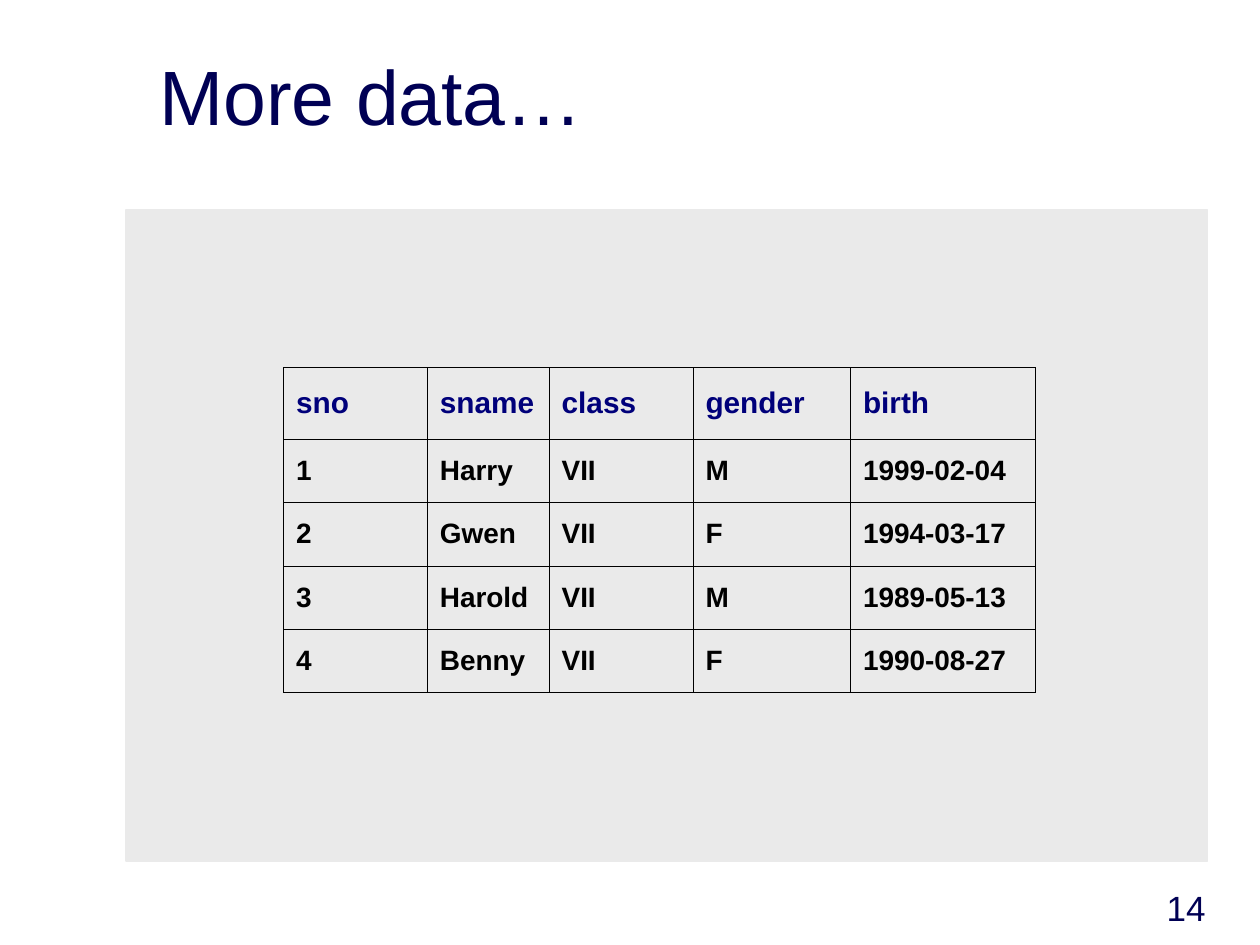
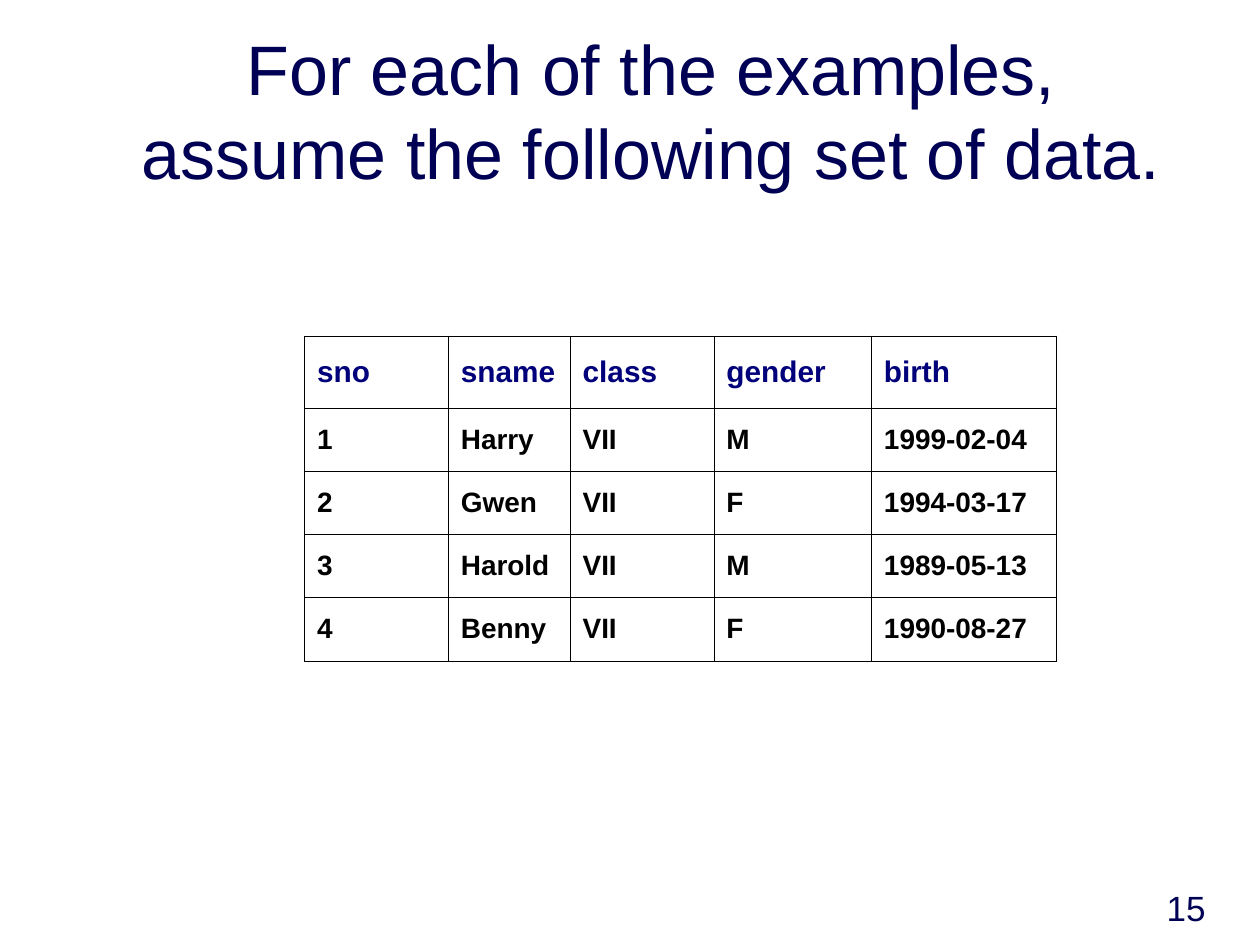
"""Build two slides that show the same student table."""
from lxml import etree
from pptx import Presentation
from pptx.dml.color import RGBColor
from pptx.enum.shapes import MSO_SHAPE
from pptx.enum.text import MSO_ANCHOR, PP_ALIGN
from pptx.oxml.ns import qn
from pptx.util import Inches, Pt

RECT = MSO_SHAPE.RECTANGLE
LOW, MID = MSO_ANCHOR.BOTTOM, MSO_ANCHOR.MIDDLE
LEFT, MAIN, RIGHT = PP_ALIGN.LEFT, PP_ALIGN.CENTER, PP_ALIGN.RIGHT
INK = {"title": "000054", "head": "00007A", "body": "000000", "panel": "EAEAEA"}
FONT = "Arial"
WIDE, HIGH = Inches(10), Inches(7.5)
COLS, ROWS = 120, 90

NUMBER = (91, 83, 25, 6)
PANEL = (12, 20, 103, 62)
WIDTHS = (13.7, 11.6, 13.7, 15, 17.65)
HEIGHTS = (6.84, 6.03, 6.03, 6.03, 6.03)
DATA = (
    ("sno", "sname", "class", "gender", "birth"),
    ("1", "Harry", "VII", "M", "1999-02-04"),
    ("2", "Gwen", "VII", "F", "1994-03-17"),
    ("3", "Harold", "VII", "M", "1989-05-13"),
    ("4", "Benny", "VII", "F", "1990-08-27"),
)
SLIDES = (
    dict(page="14", title="More data…", size=44, align=LEFT,
         head=(14, 3, 102, 11), panel=True, grid=(27, 35)),
    dict(page="15", title="For each of the examples, assume the following set of data.",
         size=40, align=MAIN, head=(11, 2, 102, 17), panel=False, grid=(29, 32)),
)


def place(col, row, wide, high):
    """Turn grid units into slide lengths."""
    return [int(n * unit) for n, unit in
            zip((col, row, wide, high), (WIDE / COLS, HIGH / ROWS) * 2)]


def write(frame, text, size=16, tint="title", bold=False, align=LEFT, anchor=LOW):
    """Put one formatted paragraph into a text frame."""
    frame.word_wrap = True
    frame.vertical_anchor = anchor
    para = frame.paragraphs[0]
    para.alignment = align
    run = para.add_run()
    run.text = text
    run.font.name, run.font.size, run.font.bold = FONT, Pt(size), bold
    run.font.color.rgb = RGBColor.from_string(INK[tint])
    return para


deck = Presentation()
deck.slide_width, deck.slide_height = WIDE, HIGH

for item in SLIDES:
    slide = deck.slides.add_slide(deck.slide_layouts[6])
    shapes = slide.shapes
    write(shapes.add_textbox(*place(*NUMBER)).text_frame, item["page"],
          size=20, align=RIGHT)
    write(shapes.add_textbox(*place(*item["head"])).text_frame, item["title"],
          size=item["size"], align=item["align"])

    if item["panel"]:
        panel = shapes.add_shape(RECT, *place(*PANEL))
        panel.shadow.inherit = False
        panel.fill.solid()
        panel.fill.fore_color.rgb = RGBColor.from_string(INK["panel"])
        panel.line.color.rgb = RGBColor.from_string(INK["panel"])
        panel.line.width = Pt(0.75)

    area = place(*item["grid"], sum(WIDTHS), sum(HEIGHTS))
    table = shapes.add_table(len(DATA), len(WIDTHS), *area).table
    table.first_row = table.horz_banding = False
    for col, wide in zip(table.columns, WIDTHS):
        col.width = int(wide * WIDE / COLS)
    for row, high, words in zip(table.rows, HEIGHTS, DATA):
        row.height = int(high * HIGH / ROWS)
        top = words is DATA[0]
        for cell, word in zip(row.cells, words):
            para = write(cell.text_frame, word, size=17 if top else 16,
                         tint="head" if top else "body", bold=True)
            props = para._p.get_or_add_pPr()
            props.set("marL", str(Inches(0.38)))
            props.set("indent", str(-Inches(0.38)))
            cell.vertical_anchor = MID
            edges = cell._tc.get_or_add_tcPr()
            for side in ("lnL", "lnR", "lnT", "lnB"):
                line = etree.SubElement(edges, qn("a:" + side), w=str(Pt(0.34)))
                fill = etree.SubElement(line, qn("a:solidFill"))
                etree.SubElement(fill, qn("a:srgbClr"), val=INK["body"])
            cell.fill.background()

deck.save("out.pptx")
